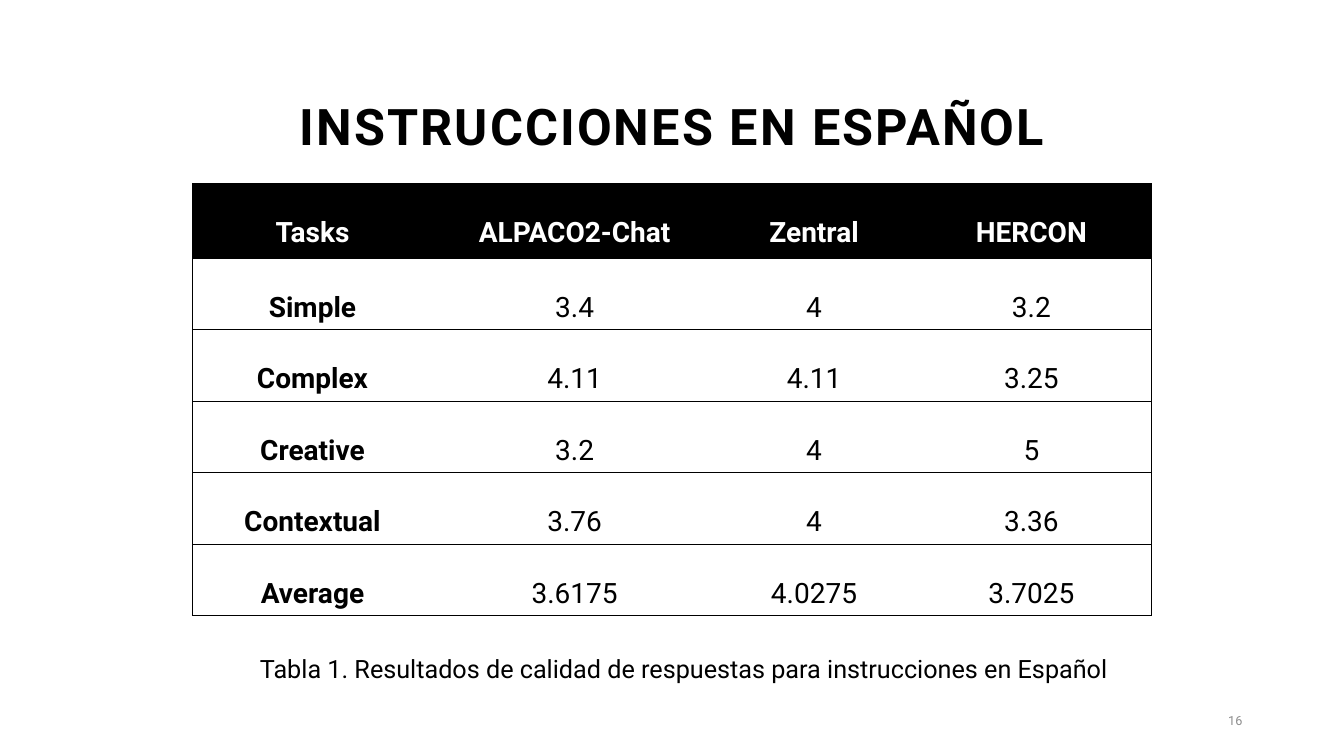
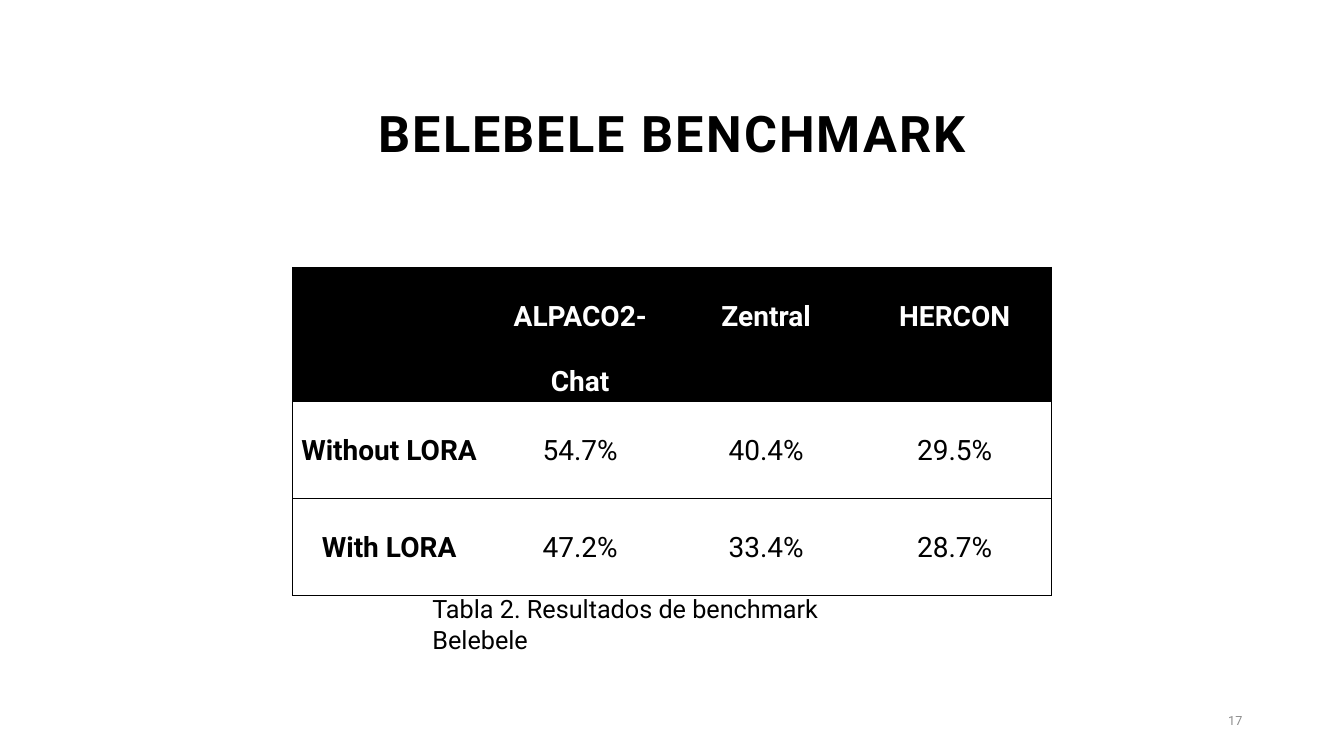
from lxml import etree
from pptx import Presentation
from pptx.dml.color import RGBColor
from pptx.enum import text
from pptx.oxml.ns import qn
from pptx.util import Inches, Pt

BLACK = RGBColor(0x00, 0x00, 0x00)
WHITE = RGBColor(0xFF, 0xFF, 0xFF)
GRAY = RGBColor(0x8C, 0x8C, 0x8C)
FONT = "Roboto"
CENTER, LEFT, RIGHT = text.PP_ALIGN.CENTER, text.PP_ALIGN.LEFT, text.PP_ALIGN.RIGHT

SLIDES = [
    {
        "title": "INSTRUCCIONES EN ESPAÑOL",
        "title_top": 0.15,
        "table_at": (1.91, 1.82),
        "columns": [2.38, 2.82, 1.93, 2.38],
        "row_heights": [0.74] + [0.71] * 5,
        "rows": [
            ("Tasks", "ALPACO2-Chat", "Zentral", "HERCON"),
            ("Simple", "3.4", "4", "3.2"),
            ("Complex", "4.11", "4.11", "3.25"),
            ("Creative", "3.2", "4", "5"),
            ("Contextual", "3.76", "4", "3.36"),
            ("Average", "3.6175", "4.0275", "3.7025"),
        ],
        "caption": "Tabla 1. Resultados de calidad de respuestas para instrucciones en Español",
        "caption_at": (2.48, 6.43, 8.8, 0.4),
        "number": 16,
    },
    {
        "title": "BELEBELE BENCHMARK",
        "title_top": 0.22,
        "table_at": (2.9, 2.65),
        "columns": [1.92, 1.87, 1.82, 1.92],
        "row_heights": [0.98, 0.96, 0.96],
        "rows": [
            ("", "ALPACO2-Chat", "Zentral", "HERCON"),
            ("Without LORA", "54.7%", "40.4%", "29.5%"),
            ("With LORA", "47.2%", "33.4%", "28.7%"),
        ],
        "caption": "Tabla 2. Resultados de benchmark Belebele",
        "caption_at": (4.19, 5.84, 4.94, 0.4),
        "number": 17,
    },
]


def style_runs(paragraph, size, color, bold=False):
    for run in paragraph.runs:
        run.font.name = FONT
        run.font.size = Pt(size)
        run.font.bold = bold
        run.font.color.rgb = color


def add_text(slide, box, content, size, color, align=LEFT, bold=False,
             anchor=text.MSO_ANCHOR.TOP):
    shape = slide.shapes.add_textbox(*map(Inches, box))
    frame = shape.text_frame
    frame.word_wrap = True
    frame.vertical_anchor = anchor
    frame.text = content
    paragraph = frame.paragraphs[0]
    paragraph.alignment = align
    style_runs(paragraph, size, color, bold)
    return shape


def add_title(slide, title, top):
    shape = add_text(slide, (0.92, top, 11.5, 1.45), title, 36, BLACK, CENTER,
                     True, text.MSO_ANCHOR.BOTTOM)
    paragraph = shape.text_frame.paragraphs[0]
    paragraph.line_spacing = 0.9
    paragraph.runs[0].font._element.set("spc", "150")


def set_borders(cell, visible_sides):
    """Draw thin black lines on the given sides (L, R, T, B), none elsewhere."""
    properties = cell._tc.get_or_add_tcPr()
    for side in "LRTB":
        line = etree.SubElement(properties, qn(f"a:ln{side}"), w=str(Pt(0.5)))
        if side in visible_sides:
            fill = etree.SubElement(line, qn("a:solidFill"))
            etree.SubElement(fill, qn("a:srgbClr"), val=str(BLACK))
        else:
            etree.SubElement(line, qn("a:noFill"))


def format_cell(cell, content, is_header, is_first, is_last):
    set_borders(cell, "TB" + "L" * is_first + "R" * is_last)
    cell.fill.solid()
    cell.fill.fore_color.rgb = BLACK if is_header else WHITE
    cell.margin_left = cell.margin_right = Inches(0.07)
    cell.margin_top = cell.margin_bottom = 0
    cell.text_frame.text = content
    paragraph = cell.text_frame.paragraphs[0]
    paragraph.alignment = CENTER
    paragraph.line_spacing = 2.0
    paragraph.space_before = Pt(6)
    style_runs(paragraph, 20, WHITE if is_header else BLACK, is_header or is_first)


def add_results_table(slide, position, columns, row_heights, rows):
    size = (sum(columns), sum(row_heights))
    table = slide.shapes.add_table(
        len(rows), len(columns), *map(Inches, position + size)).table
    for column, width in zip(table.columns, columns):
        column.width = Inches(width)
    for row, height in zip(table.rows, row_heights):
        row.height = Inches(height)
    for i, values in enumerate(rows):
        for j, value in enumerate(values):
            format_cell(table.cell(i, j), value, i == 0, j == 0,
                        j == len(columns) - 1)


def main():
    presentation = Presentation()
    presentation.slide_width = Inches(13.33)
    presentation.slide_height = Inches(7.5)
    for content in SLIDES:
        slide = presentation.slides.add_slide(presentation.slide_layouts[6])
        add_title(slide, content["title"], content["title_top"])
        add_results_table(slide, content["table_at"], content["columns"],
                          content["row_heights"], content["rows"])
        add_text(slide, (9.42, 6.95, 3, 0.4), str(content["number"]), 9, GRAY,
                 RIGHT, anchor=text.MSO_ANCHOR.MIDDLE)
        caption = add_text(slide, content["caption_at"], content["caption"], 18, BLACK)
        caption.text_frame.auto_size = text.MSO_AUTO_SIZE.SHAPE_TO_FIT_TEXT
    presentation.save("out.pptx")


if __name__ == "__main__":
    main()
